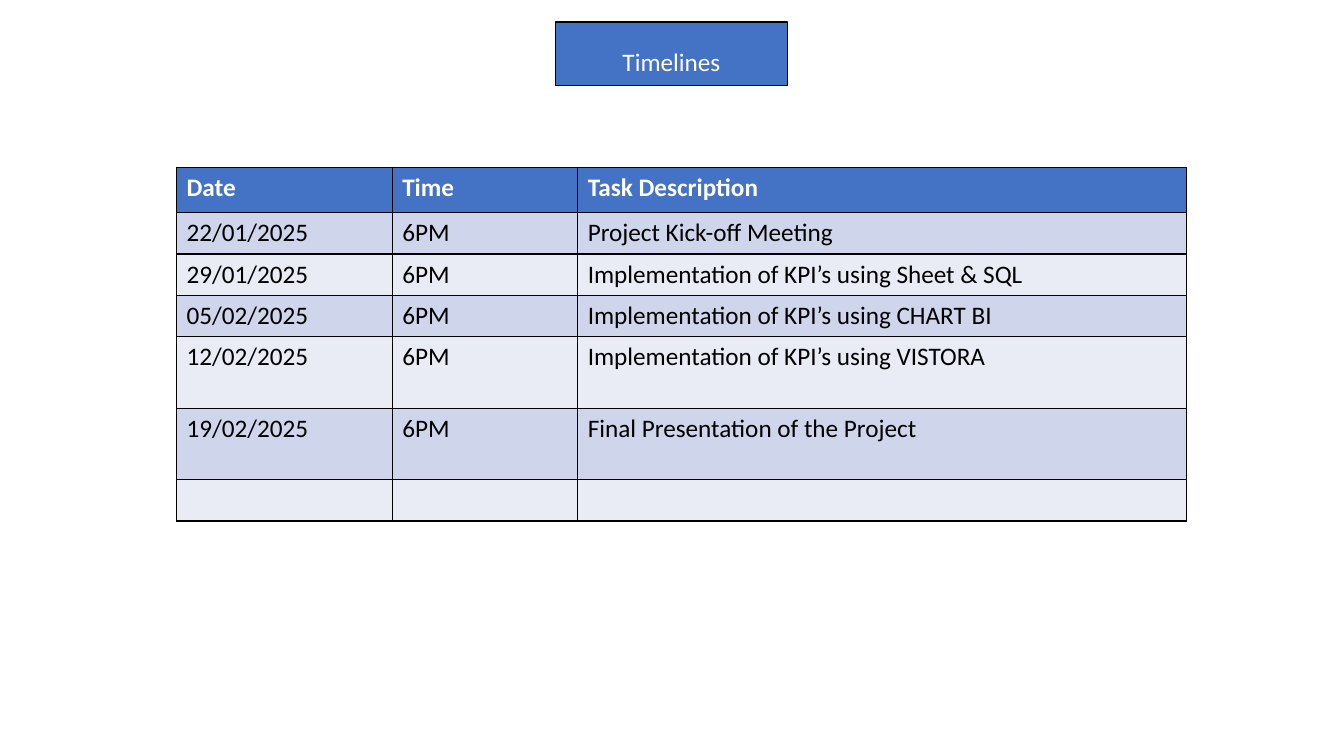
import dataclasses

import lxml.etree
import pptx
import pptx.dml.color
import pptx.enum.text
import pptx.oxml.ns
import pptx.util


@dataclasses.dataclass(frozen=True)
class Theme:
    font: str = "Calibri"
    size: int = 18
    line_width: int = 1
    accent: str = "4472C4"
    bands: tuple = ("CFD5EA", "E9EBF5")
    light: str = "FFFFFF"
    dark: str = "000000"


THEME = Theme()
GRID = 0.1
TITLE_BOX = (55.1, 2.2, 23, 6.3)
TABLE_BOX = (17.5, 16.6, 100.2, 35.1)
COLUMN_UNITS = (21.4, 18.4, 60.4)
ROW_UNITS = (4.5, 4.1, 4.1, 4.1, 7.1, 7.1, 4.1)
SCHEDULE = (
    ("Date", "Time", "Task Description"),
    ("22/01/2025", "6PM", "Project Kick-off Meeting"),
    ("29/01/2025", "6PM", "Implementation of KPI’s using Sheet & SQL"),
    ("05/02/2025", "6PM", "Implementation of KPI’s using CHART BI"),
    ("12/02/2025", "6PM", "Implementation of KPI’s using VISTORA"),
    ("19/02/2025", "6PM", "Final Presentation of the Project"),
    ("", "", ""),
)


def units(n):
    return pptx.util.Inches(n * GRID)


def rgb(value):
    return pptx.dml.color.RGBColor.from_string(value)


def paint(target, color):
    target.fill.solid()
    target.fill.fore_color.rgb = rgb(color)


def style_text(p, color, bold=False):
    for font in [p.font] + [r.font for r in p.runs]:
        font.name = THEME.font
        font.size = pptx.util.Pt(THEME.size)
        font.bold = bold
        font.color.rgb = rgb(color)


def add_borders(cell):
    qn = pptx.oxml.ns.qn
    tc_pr = cell._tc.get_or_add_tcPr()
    for i, side in enumerate(("lnL", "lnR", "lnT", "lnB")):
        ln = lxml.etree.Element(qn(f"a:{side}"), w=str(pptx.util.Pt(THEME.line_width)))
        fill = lxml.etree.SubElement(ln, qn("a:solidFill"))
        lxml.etree.SubElement(fill, qn("a:srgbClr"), val=THEME.dark)
        tc_pr.insert(i, ln)


def place_title(s, box, text):
    sp = s.shapes.title
    sp.left, sp.top, sp.width, sp.height = map(units, box)
    paint(sp, THEME.accent)
    sp.line.color.rgb = rgb(THEME.dark)
    sp.line.width = pptx.util.Pt(THEME.line_width)
    tf = sp.text_frame
    tf.text = text
    tf.auto_size = pptx.enum.text.MSO_AUTO_SIZE.NONE
    tf.vertical_anchor = pptx.enum.text.MSO_ANCHOR.MIDDLE
    p = tf.paragraphs[0]
    p.alignment = pptx.enum.text.PP_ALIGN.CENTER
    p.line_spacing = 1.5
    style_text(p, THEME.light)


def place_schedule(s, box, rows):
    frame = s.shapes.add_table(len(rows), len(rows[0]), *map(units, box))
    table = frame.table
    for column, share in zip(table.columns, COLUMN_UNITS):
        column.width = units(box[2] * share / sum(COLUMN_UNITS))
    for row, share in zip(table.rows, ROW_UNITS):
        row.height = units(box[3] * share / sum(ROW_UNITS))
    for i, values in enumerate(rows):
        header = i == 0
        for cell, value in zip(table.rows[i].cells, values):
            cell.text = value
            paint(cell, THEME.accent if header else THEME.bands[(i - 1) % 2])
            add_borders(cell)
            style_text(cell.text_frame.paragraphs[0],
                       THEME.light if header else THEME.dark, header)


def main():
    prs = pptx.Presentation()
    prs.slide_width = pptx.util.Inches(13.33)
    prs.slide_height = pptx.util.Inches(7.5)
    s = prs.slides.add_slide(prs.slide_layouts.get_by_name("Title Only"))
    place_schedule(s, TABLE_BOX, SCHEDULE)
    place_title(s, TITLE_BOX, "Timelines")
    prs.save("out.pptx")


if __name__ == "__main__":
    main()
